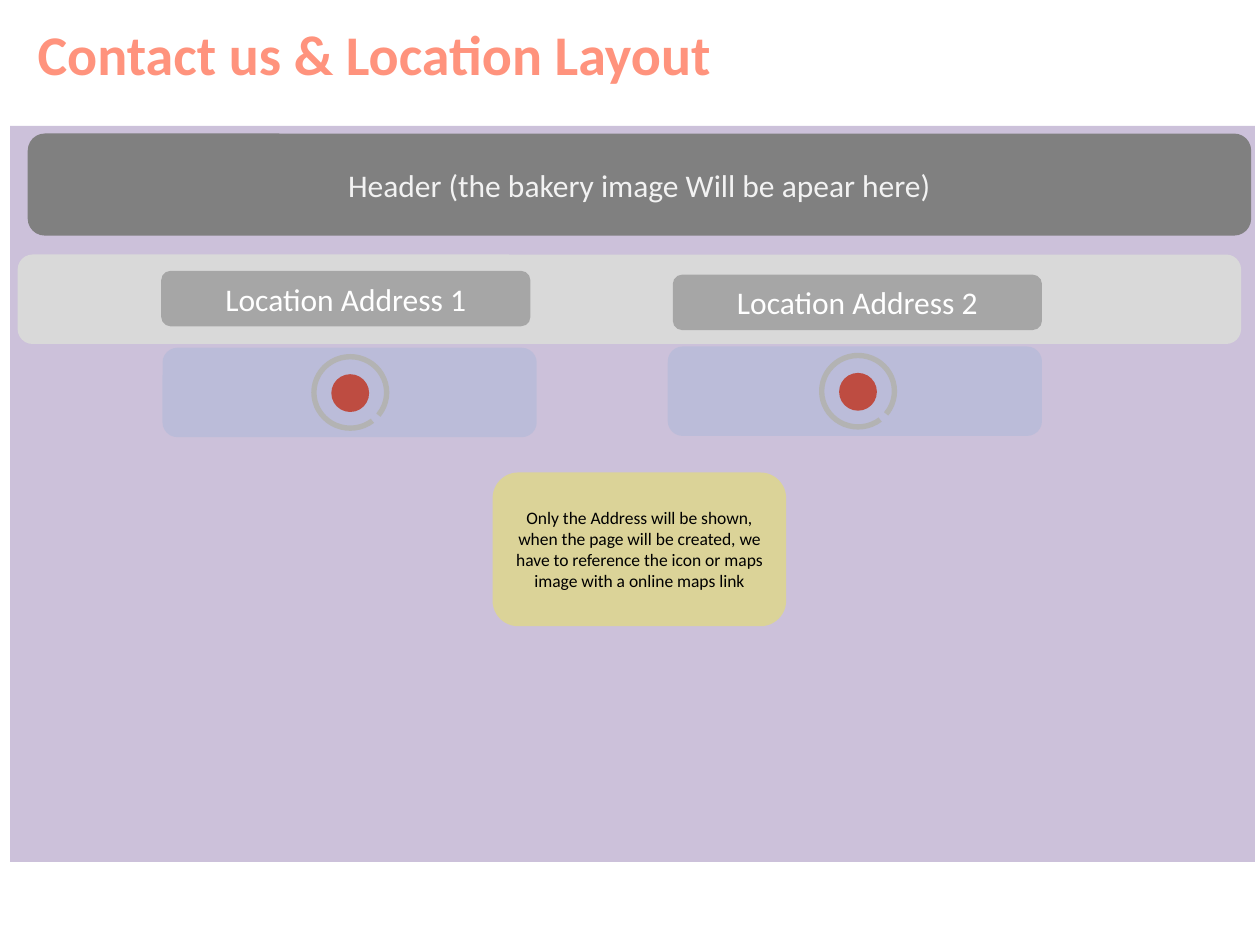
from lxml import etree
from pptx import Presentation
from pptx.dml.color import RGBColor
from pptx.enum.shapes import MSO_SHAPE
from pptx.enum.text import MSO_ANCHOR, PP_ALIGN
from pptx.oxml.ns import qn
from pptx.util import Inches, Pt

COLORS = {
    "title": "FF937D", "page": "CCC1DA", "header": "808080", "header_text": "F2F2F2",
    "band": "D9D9D9", "address": "A6A6A6", "map": "95B3D7", "ring": "B3B3B3",
    "marker": "BE4C41", "note": "FFFF00", "white": "FFFFFF", "black": "000000",
}

prs = Presentation()
prs.slide_width, prs.slide_height = Inches(10), Inches(7.5)
slide = prs.slides.add_slide(prs.slide_layouts[6])


def add_block(kind, left, top, width, height, color, opacity=100):
    block = slide.shapes.add_shape(
        kind, Inches(left), Inches(top), Inches(width), Inches(height))
    block.shadow.inherit = False
    block.line.fill.background()
    block.fill.solid()
    block.fill.fore_color.rgb = RGBColor.from_string(COLORS[color])
    if opacity < 100:
        srgb = block.fill._xPr.find(qn("a:solidFill")).find(qn("a:srgbClr"))
        etree.SubElement(srgb, qn("a:alpha")).set("val", str(opacity * 1000))
    return block


def write(box, text, size, color, align=PP_ALIGN.CENTER, bold=False):
    frame = box.text_frame
    frame.word_wrap = True
    frame.vertical_anchor = MSO_ANCHOR.MIDDLE
    paragraph = frame.paragraphs[0]
    paragraph.text = text
    paragraph.alignment = align
    paragraph.font.name = "Calibri"
    paragraph.font.size = Pt(size)
    paragraph.font.bold = bold
    paragraph.font.color.rgb = RGBColor.from_string(COLORS[color])


ROUNDED = MSO_SHAPE.ROUNDED_RECTANGLE

# Page area and title
add_block(MSO_SHAPE.RECTANGLE, 0.08, 1, 9.88, 5.84, "page")
title = slide.shapes.add_textbox(Inches(0.2), Inches(-0.01), Inches(8.38), Inches(0.87))
write(title, "Contact us & Location Layout", 32, "title", PP_ALIGN.LEFT, True)

# Header and address band
header = add_block(ROUNDED, 0.22, 1.06, 9.71, 0.81, "header")
write(header, "Header (the bakery image Will be apear here)", 18, "header_text")
add_block(ROUNDED, 0.14, 2.02, 9.71, 0.71, "band")

# Each location: address, map panel, ring with a plain map marker
locations = [
    ("Location Address 1", 1.28, 2.15, 1.29, 2.76, 2.47),
    ("Location Address 2", 5.34, 2.18, 5.3, 2.75, 6.5),
]
for text, address_left, address_top, map_left, map_top, ring_left in locations:
    address = add_block(ROUNDED, address_left, address_top, 2.93, 0.44, "address")
    write(address, text, 18, "white")
    add_block(ROUNDED, map_left, map_top, 2.97, 0.71, "map", 30)

    ring = add_block(MSO_SHAPE.BLOCK_ARC, ring_left, map_top + 0.05, 0.62, 0.61, "ring")
    # Angles are in 60000ths of a degree, adjustments in 100000ths
    ring.adjustments[0] = 52 * 0.6
    ring.adjustments[1] = 39 * 0.6
    ring.adjustments[2] = 0.07
    add_block(MSO_SHAPE.OVAL, ring_left + 0.16, map_top + 0.21, 0.3, 0.3, "marker")

# Note
note = add_block(ROUNDED, 3.91, 3.75, 2.33, 1.22, "note", 30)
write(note, "Only the Address will be shown, when the page will be created, we have to "
      "reference the icon or maps image with a online maps link", 10, "black")

prs.save("out.pptx")
